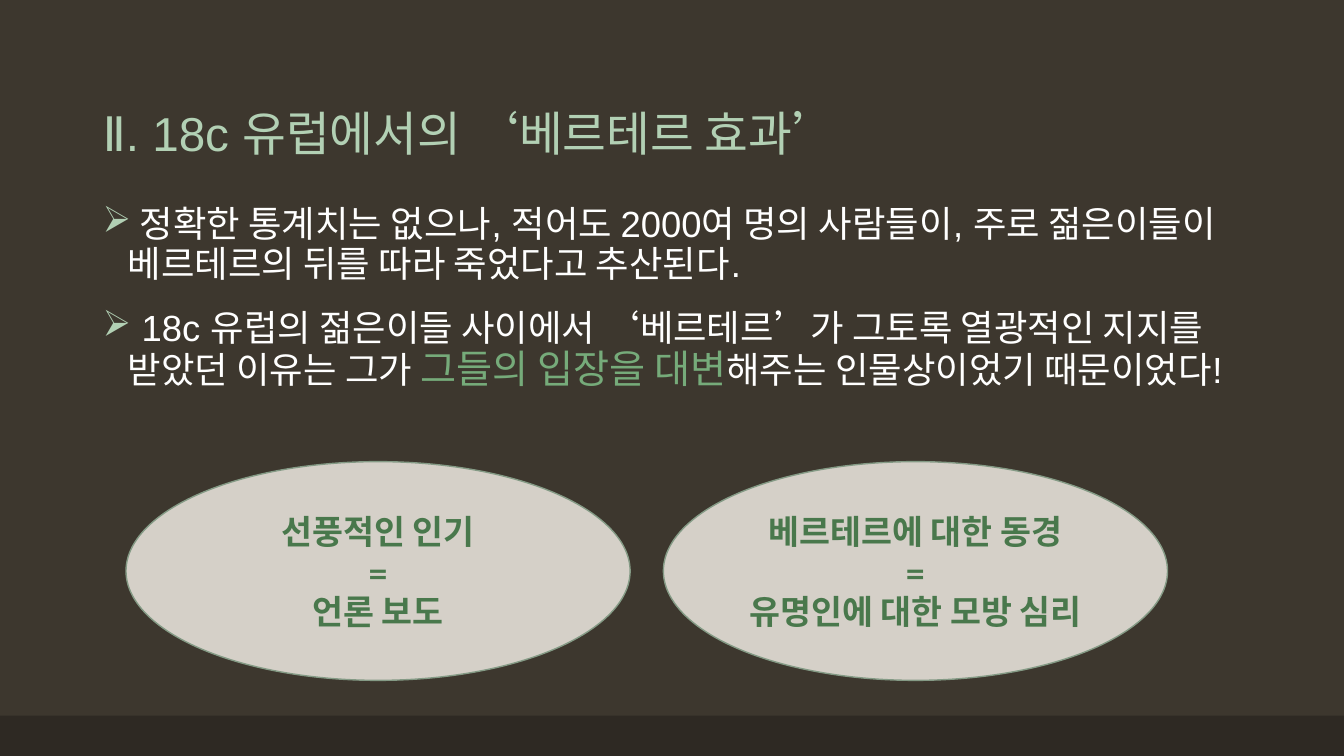
from dataclasses import dataclass

from lxml import etree
from pptx import Presentation
from pptx import util as u
from pptx.dml.color import RGBColor
from pptx.enum import shapes, text
from pptx.oxml.ns import qn


@dataclass(frozen=True)
class Theme:
    background: str = "3D372E"
    footer: str = "2E2923"
    heading: str = "B2D0B4"
    body: str = "FFFFFF"
    highlight: str = "76AB7A"
    oval: str = "D5D0C8"
    oval_line: str = "849A85"
    oval_text: str = "49784C"
    font: str = "Arial"
    oval_font: str = "Cambria"
    heading_size: int = 34
    body_size: int = 26
    highlight_size: int = 28
    oval_size: int = 24


class SlideBuilder:
    def __init__(self, slide, theme):
        self.slide = slide
        self.theme = theme
        self.paint(slide.background.fill, theme.background)

    def paint(self, fill, color):
        fill.solid()
        fill.fore_color.rgb = RGBColor.from_string(color)

    def add_words(self, paragraph, words, color, size, name, bold=False):
        run = paragraph.add_run()
        run.text = words
        formats = {"size": u.Pt(size), "name": name, "bold": bold}
        for attribute, value in formats.items():
            setattr(run.font, attribute, value)
        run.font.color.rgb = RGBColor.from_string(color)

    def shape(self, kind, box, fill, line=None):
        shape = self.slide.shapes.add_shape(kind, *map(u.Inches, box))
        shape.shadow.inherit = False
        self.paint(shape.fill, fill)
        if line:
            self.paint(shape.line.fill, line)
            shape.line.width = u.Pt(1)
        else:
            shape.line.fill.background()
        return shape

    def text_frame(self, box, anchor):
        frame = self.slide.shapes.add_textbox(*map(u.Inches, box)).text_frame
        frame.word_wrap = True
        frame.vertical_anchor = anchor
        return frame

    def paragraphs(self, frame, count):
        return [frame.paragraphs[0]] + [frame.add_paragraph() for _ in range(count - 1)]

    def heading(self, box, words):
        paragraph = self.text_frame(box, text.MSO_ANCHOR.BOTTOM).paragraphs[0]
        paragraph.line_spacing = 0.9
        t = self.theme
        self.add_words(paragraph, words, t.heading, t.heading_size, t.font)

    def add_bullet(self, paragraph):
        properties = paragraph._p.get_or_add_pPr()
        indent = u.Inches(0.25)
        properties.set("marL", str(indent))
        properties.set("indent", str(-indent))
        color = etree.SubElement(properties, qn("a:buClr"))
        etree.SubElement(color, qn("a:srgbClr"), val=self.theme.heading)
        etree.SubElement(properties, qn("a:buChar"), char="➢")

    def bullets(self, box, points):
        """Each point is a list of (words, highlighted) pairs."""
        t = self.theme
        frame = self.text_frame(box, text.MSO_ANCHOR.TOP)
        for index, paragraph in enumerate(self.paragraphs(frame, len(points))):
            self.add_bullet(paragraph)
            paragraph.line_spacing = 0.9
            paragraph.space_before = u.Pt(18 if index else 0)
            for words, highlighted in points[index]:
                color = t.highlight if highlighted else t.body
                size = t.highlight_size if highlighted else t.body_size
                self.add_words(paragraph, words, color, size, t.font)

    def oval(self, box, lines):
        t = self.theme
        frame = self.shape(shapes.MSO_SHAPE.OVAL, box, t.oval, t.oval_line).text_frame
        frame.word_wrap = True
        frame.vertical_anchor = text.MSO_ANCHOR.MIDDLE
        for paragraph, words in zip(self.paragraphs(frame, len(lines)), lines):
            paragraph.alignment = text.PP_ALIGN.CENTER
            self.add_words(paragraph, words, t.oval_text, t.oval_size, t.oval_font, bold=True)


def main():
    deck = Presentation()
    deck.slide_width, deck.slide_height = u.Inches(13.33), u.Inches(7.5)
    theme = Theme()
    page = SlideBuilder(deck.slides.add_slide(deck.slide_layouts[6]), theme)

    page.shape(shapes.MSO_SHAPE.RECTANGLE, (0, 7.1, 13.33, 0.4), theme.footer)
    page.heading((0.92, 0.4, 11.5, 1.25), "Ⅱ. 18c 유럽에서의 ‘베르테르 효과’")
    page.bullets((0.92, 2, 11.5, 4.76), [
        [(" 정확한 통계치는 없으나, 적어도 2000여 명의 사람들이, 주로 "
          "젊은이들이 베르테르의 뒤를 따라 죽었다고 추산된다.", False)],
        [(" 18c 유럽의 젊은이들 사이에서 ‘베르테르’가 그토록 열광적인 지지를 "
          "받았던 이유는 그가 ", False),
         ("그들의 입장을 대변", True),
         ("해주는 인물상이었기 때문이었다!", False)],
    ])

    equations = [
        ("선풍적인 인기", "=", "언론 보도"),
        ("베르테르에 대한 동경", "=", "유명인에 대한 모방 심리"),
    ]
    oval_width, gap = 5, 0.33
    for column, lines in enumerate(equations):
        left = 1.25 + column * (oval_width + gap)
        page.oval((left, 4.58, oval_width, 2.17), lines)

    deck.save("out.pptx")


if __name__ == "__main__":
    main()
